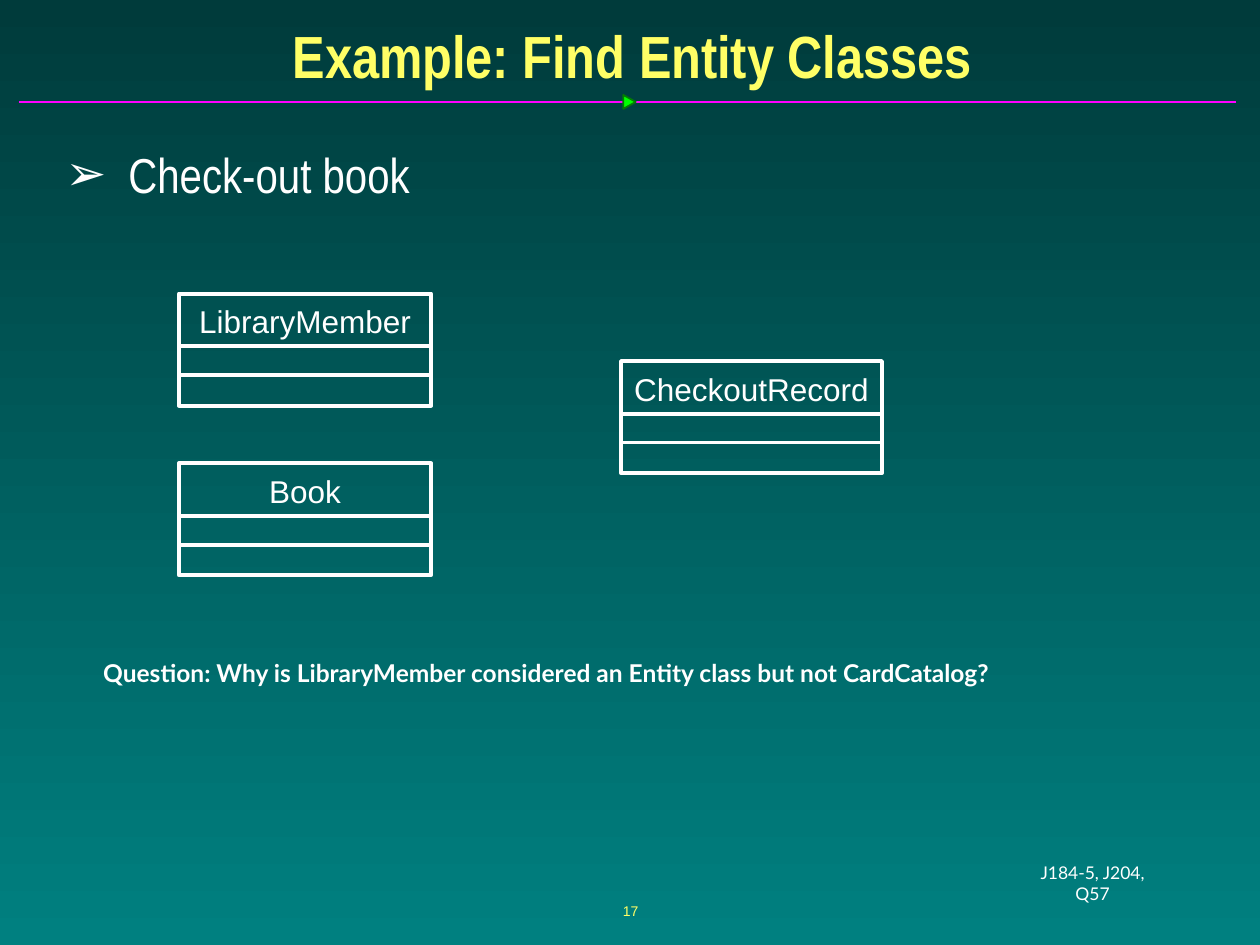
from dataclasses import dataclass

from lxml.etree import SubElement
from pptx import Presentation
from pptx.dml.color import RGBColor
from pptx.enum.shapes import MSO_CONNECTOR as Line, MSO_SHAPE as Shape
from pptx.enum.text import MSO_ANCHOR as Anchor, MSO_AUTO_SIZE as Fit, PP_ALIGN as Align
from pptx.oxml.ns import qn
from pptx.util import Cm, Pt

WHITE = RGBColor(0xFF, 0xFF, 0xFF)
YELLOW = RGBColor(0xFF, 0xFF, 0x66)
MAGENTA = RGBColor(0xFF, 0x01, 0xFF)
GREEN = RGBColor(0x00, 0xFF, 0x00)
LEAF = RGBColor(0x03, 0x7C, 0x03)
DARK = RGBColor(0x00, 0x3B, 0x3B)
TEAL = RGBColor(0x00, 0x80, 0x80)

HIGH = 2.26            # height of a class box
SPLITS = (1.06, 1.64)  # its dividers, from the top


@dataclass
class Entity:
    name: str
    left: float
    top: float
    width: float
    label: float


ENTITIES = [
    Entity("LibraryMember", 3.61, 5.92, 5.08, 4.27),
    Entity("CheckoutRecord", 12.52, 7.28, 5.26, 4.72),
    Entity("Book", 3.61, 9.34, 5.08, 1.45),
]


def place(shape, left: float, top: float, width: float, height: float) -> None:
    shape.left, shape.top = Cm(left), Cm(top)
    shape.width, shape.height = Cm(width), Cm(height)


def write(shape, text: str, *, size: float, font: str, color=WHITE, bold=False,
          align=Align.LEFT, anchor=Anchor.TOP, pad=(0.25, 0.13), wrap=True, bullet=None):
    frame = shape.text_frame
    frame.auto_size = Fit.NONE
    frame.word_wrap = wrap
    frame.vertical_anchor = anchor
    frame.margin_left = frame.margin_right = Cm(pad[0])
    frame.margin_top = frame.margin_bottom = Cm(pad[1])
    frame.text = text
    para = frame.paragraphs[0]
    para.alignment = align
    para.space_before = Pt(0)
    if bullet:
        para.line_spacing = 0.87
        props = para._p.get_or_add_pPr()
        props.set("marL", str(Cm(1.27)))
        props.set("indent", str(-Cm(1.27)))
        tint = SubElement(SubElement(props, qn("a:buClr")), qn("a:srgbClr"))
        tint.set("val", str(color))
        SubElement(props, qn("a:buChar")).set("char", bullet)
    face = para.runs[0].font
    face.size, face.name, face.bold = Pt(size), font, bold
    face.color.rgb = color


def add_text(shapes, box: tuple, text: str, **style) -> None:
    write(shapes.add_textbox(*map(Cm, box)), text, **style)


def add_rule(shapes, left: float, right: float, y: float, color, weight: float) -> None:
    rule = shapes.add_connector(Line.STRAIGHT, Cm(left), Cm(y), Cm(right), Cm(y))
    rule.line.color.rgb = color
    rule.line.width = Pt(weight)
    SubElement(rule._element.spPr, qn("a:effectLst"))


def add_entity(slide, item: Entity) -> None:
    shapes = slide.shapes.add_group_shape().shapes
    frame = shapes.add_shape(Shape.RECTANGLE, Cm(item.left), Cm(item.top),
                             Cm(item.width), Cm(HIGH))
    frame.shadow.inherit = False
    frame.fill.background()
    frame.line.color.rgb = WHITE
    frame.line.width = Pt(2.25)
    for split in SPLITS:
        add_rule(shapes, item.left, item.left + item.width, item.top + split, WHITE, 2.25)
    inset = (item.width - item.label) / 2
    add_text(shapes, (item.left + inset, item.top + 0.17, item.label, 0.76), item.name,
             size=18, font="Arial", align=Align.CENTER, pad=(0, 0), wrap=False)


def add_divider(slide) -> None:
    """Draw the line under the title with its green marker."""
    shapes = slide.shapes.add_group_shape().shapes
    add_rule(shapes, 0.38, 24.92, 2.05, MAGENTA, 1)
    mark = shapes.add_shape(Shape.ISOSCELES_TRIANGLE, Cm(12.55), Cm(1.93), Cm(0.28), Cm(0.25))
    mark.rotation = 90
    mark.shadow.inherit = False
    mark.fill.solid()
    mark.fill.fore_color.rgb = GREEN
    mark.line.color.rgb = LEAF
    mark.line.width = Pt(1)


def main() -> None:
    deck = Presentation()
    deck.slide_width, deck.slide_height = Cm(25.4), Cm(19.05)
    slide = deck.slides.add_slide(deck.slide_layouts[1])

    back = slide.background.fill
    back.gradient()
    back.gradient_angle = 270
    for stop, color in zip(back.gradient_stops, (DARK, TEAL)):
        stop.color.rgb = color

    title, body = slide.placeholders
    place(title, 0.25, 0.36, 25, 1.47)
    write(title, "Example: Find Entity Classes", size=34, font="Arial Narrow",
          color=YELLOW, bold=True, align=Align.CENTER, anchor=Anchor.MIDDLE)
    place(body, 1.02, 2.92, 23.6, 14.02)
    write(body, "Check-out book", size=28, font="Arial Narrow", pad=(0.3, 0.15), bullet="➢")

    add_divider(slide)
    for item in ENTITIES:
        add_entity(slide, item)

    add_text(slide.shapes, (1.83, 13.13, 21.23, 0.86),
             "Question: Why is LibraryMember considered an Entity class but not CardCatalog?",
             size=14, font="Lato", bold=True)
    add_text(slide.shapes, (20.4, 17.45, 3.25, 0.69), "J184-5, J204, Q57",
             size=10, font="Lato", align=Align.CENTER, anchor=Anchor.MIDDLE)
    add_text(slide.shapes, (8.69, 17.73, 8.05, 1.27), "17", size=8, font="Arial",
             color=YELLOW, align=Align.CENTER, anchor=Anchor.MIDDLE)

    deck.save("out.pptx")


if __name__ == "__main__":
    main()
